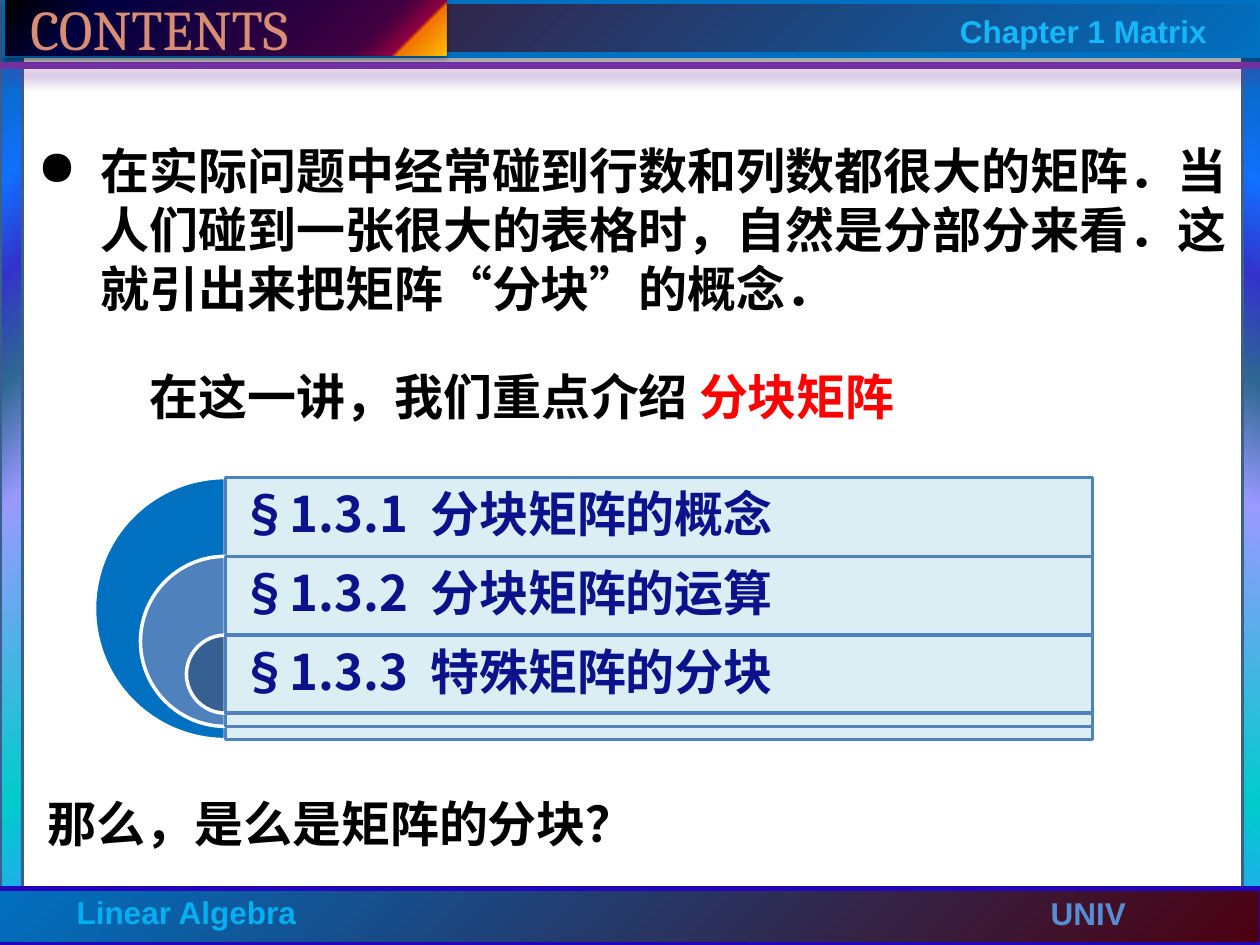
from lxml.etree import SubElement
from pptx import Presentation
from pptx.dml.color import RGBColor
from pptx.enum.shapes import MSO_CONNECTOR, MSO_SHAPE
from pptx.enum.text import MSO_ANCHOR, MSO_AUTO_SIZE, PP_ALIGN
from pptx.oxml.ns import qn
from pptx.util import Inches, Pt

WIDTH, HEIGHT = Inches(10), Inches(7.5)
COLUMN, ROW = WIDTH / 100, HEIGHT / 75
CHINESE = "Noto Sans CJK SC"
SIDE_STOPS = [(0, "3399FF"), (16, "00CCCC"), (47, "9999FF"), (60, "2E6792"),
              (71, "3333CC"), (81, "1170FF"), (100, "006699")]
BAR_STOPS = [(0, "0070C0"), (100, "4C000F")]
TITLE_STOPS = [(0, "000000"), (20, "000040"), (81, "400040"), (89, "8F0040"),
               (90, "F27300"), (97, "FBA600"), (100, "FFBF00")]
SECTIONS = [("§1.3.1  分块矩阵的概念", "0070C0"),
            ("§1.3.2  分块矩阵的运算", "4F81BD"),
            ("§1.3.3  特殊矩阵的分块", "376092")]


def color(value):
    return RGBColor.from_string(value)


def grid(left, top, width, height):
    return (round(left * COLUMN), round(top * ROW),
            round(width * COLUMN), round(height * ROW))


def add_color(parent, value, alpha=None):
    element = SubElement(parent, qn("a:srgbClr"), val=value)
    if alpha is not None:
        SubElement(element, qn("a:alpha"), val=str(alpha * 1000))


def set_gradient(shape, stops, angle=None, center=None):
    shape.fill.gradient()
    gradient = shape._element.spPr.find(qn("a:gradFill"))
    for child in list(gradient):
        gradient.remove(child)
    stop_list = SubElement(gradient, qn("a:gsLst"))
    for position, value in stops:
        add_color(SubElement(stop_list, qn("a:gs"), pos=str(position * 1000)), value)
    if center is None:
        SubElement(gradient, qn("a:lin"), ang=str(angle * 60000), scaled="0")
    else:
        circle = SubElement(gradient, qn("a:path"), path="circle")
        edges = {side: str(share * 1000) for side, share in zip("ltrb", center)}
        SubElement(circle, qn("a:fillToRect"), **edges)


def add_shadow(effects, value, alpha, blur, distance):
    shadow = SubElement(effects, qn("a:outerShdw"), blurRad=str(Pt(blur)),
                        dist=str(Pt(distance)), dir="5400000", rotWithShape="0")
    add_color(shadow, value, alpha)


def add_block(slide, kind, area, line, weight, fill=None, alpha=None):
    shape = slide.shapes.add_shape(kind, *grid(*area))
    shape.shadow.inherit = False
    shape.line.color.rgb = color(line)
    shape.line.width = Pt(weight)
    if fill:
        shape.fill.solid()
        shape.fill.fore_color.rgb = color(fill)
    if alpha is not None:
        solid = shape._element.spPr.find(qn("a:solidFill"))
        SubElement(solid[0], qn("a:alpha"), val=str(alpha * 1000))
    return shape


def add_run(paragraph, text, size=28, font=CHINESE, fill="000000", bold=True):
    run = paragraph.add_run()
    run.text = text
    run.font.size = Pt(size)
    run.font.bold = bold
    run.font.color.rgb = color(fill)
    run.font.name = font
    SubElement(run._r.rPr, qn("a:ea"), typeface=CHINESE)


def add_text(slide, area, pieces, wrap=True, margin=None, **text_format):
    box = slide.shapes.add_textbox(*grid(*area))
    frame = box.text_frame
    frame.word_wrap = wrap
    if margin is not None:
        frame.vertical_anchor = MSO_ANCHOR.MIDDLE
        frame.margin_left = frame.margin_right = Inches(margin)
        frame.margin_top = frame.margin_bottom = Inches(margin)
    paragraph = frame.paragraphs[0]
    for text, changes in pieces:
        add_run(paragraph, text, **{**text_format, **changes})
    return paragraph


def add_frame(slide):
    left = add_block(slide, MSO_SHAPE.RECTANGLE, (0, 0, 1.8, 75), "3A5F8C", 2)
    set_gradient(left, SIDE_STOPS, center=(100, 100, 0, 0))
    right = add_block(slide, MSO_SHAPE.RECTANGLE, (98.6, 0.3, 1.8, 75), "3A5F8C", 2)
    set_gradient(right, SIDE_STOPS, angle=300)
    footer = add_block(slide, MSO_SHAPE.RECTANGLE, (-0.3, 70.5, 100.4, 4.5), "2406BA", 3)
    set_gradient(footer, BAR_STOPS, center=(0, 0, 100, 100))
    header = add_block(slide, MSO_SHAPE.RECTANGLE, (0.4, 0.1, 99.6, 4.3), "0070C0", 3.5)
    set_gradient(header, BAR_STOPS, center=(100, 100, 0, 0))
    add_shadow(header._element.spPr.find(qn("a:effectLst")), "000000", 32, 3.5, 2.2)

    left, top, width, _ = grid(0, 5.2, 100.4, 0)
    rule = slide.shapes.add_connector(MSO_CONNECTOR.STRAIGHT, left, top, left + width, top)
    rule.line.color.rgb = color("7030A0")
    rule.line.width = Pt(3.75)
    effects = SubElement(rule._element.spPr, qn("a:effectLst"))
    add_shadow(effects, "7030A0", 60, 8, 5)

    for text, area, fill in [("Linear Algebra", (5.1, 70.4, 19.6, 4), "00B0F0"),
                             ("UNIV", (82.4, 70.5, 11.1, 4), "558ED5"),
                             ("Chapter 1 Matrix", (75.2, 0.5, 22.5, 4), "14B7F8")]:
        add_text(slide, area, [(text, {})], wrap=False, size=18, font="Arial", fill=fill)


def add_title(slide):
    title = slide.shapes.title
    title.left, title.top, title.width, title.height = grid(0.4, 0, 35, 4.4)
    set_gradient(title, TITLE_STOPS, angle=45)
    title.shadow.inherit = False
    add_shadow(title._element.spPr.find(qn("a:effectLst")), "000000", 35, 3.1, 1.8)
    frame = title.text_frame
    frame.auto_size = MSO_AUTO_SIZE.NONE
    frame.vertical_anchor = MSO_ANCHOR.MIDDLE
    frame.margin_left = Inches(0.2)
    paragraph = frame.paragraphs[0]
    paragraph.alignment = PP_ALIGN.LEFT
    add_run(paragraph, "CONTENTS", size=32, font="Cambria", fill="D98D75", bold=False)
    slide.shapes._spTree.append(title._element)


def add_introduction(slide):
    quote = {"font": "Times New Roman"}
    paragraph = add_text(slide, (2, 10.7, 96.9, 16), [
        ("在实际问题中经常碰到行数和列数都很大的矩阵．当人们碰到一张很大的表格时，"
         "自然是分部分来看．这就引出来把矩阵", {}),
        ("“", quote), ("分块", {}), ("”", quote), ("的概念．", {})])
    paragraph.space_before = Pt(5.6)
    properties = paragraph._p.get_or_add_pPr()
    properties.set("marL", str(Inches(0.5)))
    properties.set("indent", str(-Inches(0.5)))
    SubElement(properties, qn("a:buChar"), char="●")


def add_sections(slide):
    left, top, width, step = 17.9, 37.9, 68.8, 6.25
    for index, (text, fill) in enumerate(SECTIONS):
        row_top = top + index * step
        size = 20.8 - index * 7.3
        pie = add_block(slide, MSO_SHAPE.PIE, (left - size / 2, row_top, size, size),
                        "FFFFFF", 2, fill)
        pie.adjustments[0], pie.adjustments[1] = 54, 162
        add_block(slide, MSO_SHAPE.RECTANGLE, (left, row_top, width, size),
                  "4F81BD", 2, "DBEEF4", 90 if index else None)
        paragraph = add_text(slide, (left, row_top, width, step), [(text, {})],
                             margin=0.12, fill="0A128C")
        paragraph.line_spacing = 0.9


def main():
    presentation = Presentation()
    presentation.slide_width, presentation.slide_height = WIDTH, HEIGHT
    slide = presentation.slides.add_slide(presentation.slide_layouts[5])
    add_frame(slide)
    add_introduction(slide)
    add_text(slide, (10.9, 28.6, 81.7, 5.7),
             [("在这一讲，我们重点介绍 ", {"font": "Arial"}), ("分块矩阵", {"fill": "FF0000"})])
    add_sections(slide)
    add_text(slide, (2.8, 62.5, 83.3, 5.7), [("那么，是么是矩阵的分块？", {})], font="Arial")
    add_title(slide)
    presentation.save("out.pptx")


if __name__ == "__main__":
    main()
